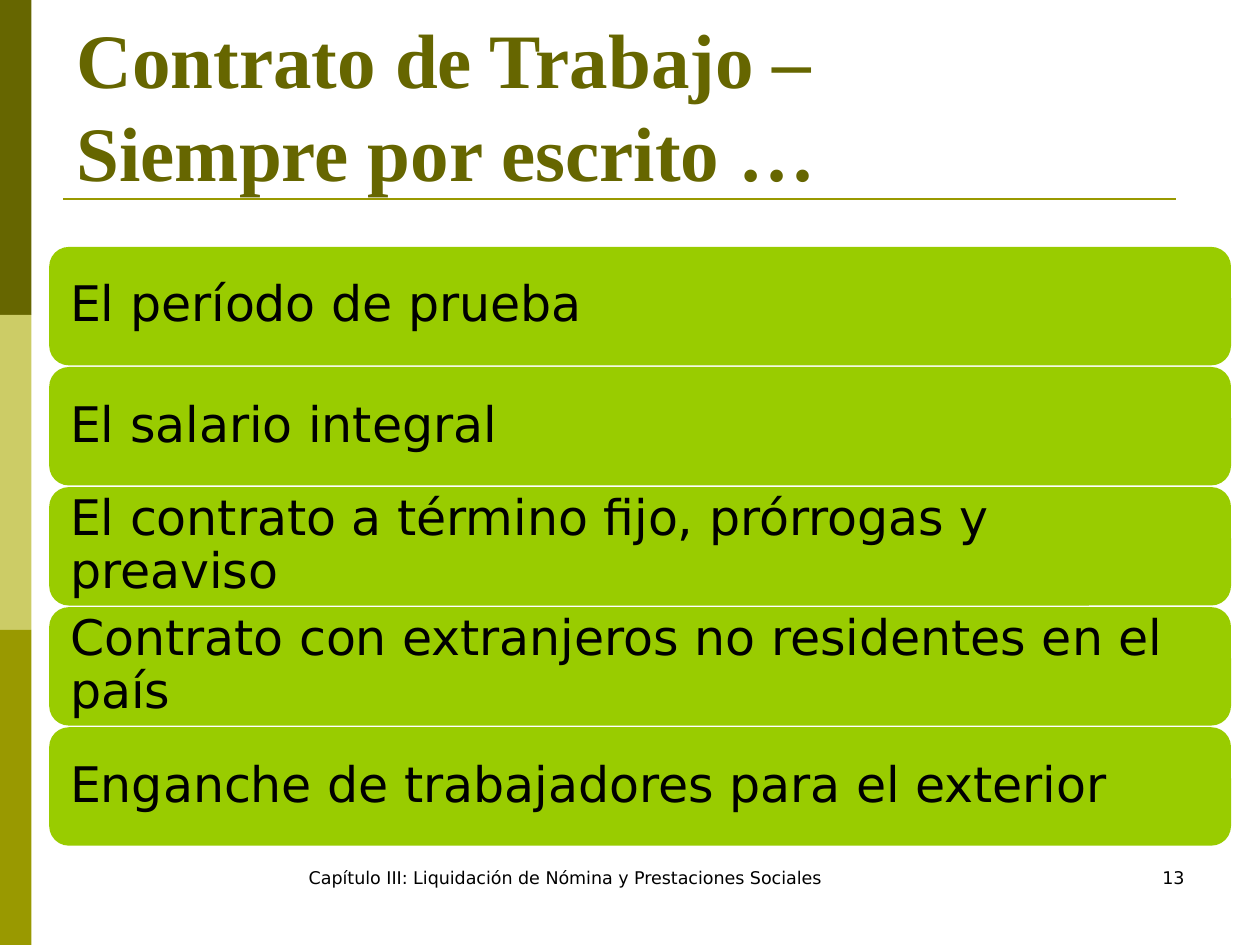
from pptx import Presentation
from pptx.dml.color import RGBColor
from pptx.enum.shapes import MSO_CONNECTOR as CONNECTOR, MSO_SHAPE as SHAPE
from pptx.enum.text import MSO_ANCHOR as ANCHOR, PP_ALIGN as ALIGN
from pptx.oxml.ns import qn
from pptx.util import Inches, Pt
from lxml import etree


def rgb(value):
    return RGBColor.from_string(value)


def write(frame, text, size=10, font="DejaVu Sans", color="000000", bold=False,
          align=ALIGN.LEFT, anchor=ANCHOR.TOP, spacing=None, inset=None):
    frame.word_wrap = True
    frame.vertical_anchor = anchor
    if inset is not None:
        frame.margin_left = frame.margin_right = Inches(inset)
        frame.margin_top = frame.margin_bottom = Inches(inset)
    paragraph = frame.paragraphs[0]
    paragraph.alignment = align
    if spacing:
        paragraph.line_spacing = spacing
    for index, line in enumerate(text.splitlines()):
        if index:
            paragraph.add_line_break()
        run = paragraph.add_run()
        run.text = line
        run.font.size = Pt(size)
        run.font.name = font
        run.font.bold = bold
        run.font.color.rgb = rgb(color)


class Board:
    olive, dark, pale, lime = "999900", "666600", "CCCC66", "99CC00"

    def __init__(self, slide):
        self.slide = slide

    def block(self, left, top, width, height, fill, kind=SHAPE.RECTANGLE):
        block = self.slide.shapes.add_shape(
            kind, Inches(left), Inches(top), Inches(width), Inches(height))
        block.shadow.inherit = False
        block.fill.solid()
        block.fill.fore_color.rgb = rgb(fill)
        block.line.fill.background()
        return block

    def rule(self, left, right, y):
        rule = self.slide.shapes.add_connector(
            CONNECTOR.STRAIGHT, Inches(left), Inches(y), Inches(right), Inches(y))
        rule.line.color.rgb = rgb(self.olive)
        rule.line.width = Pt(1.5)
        etree.SubElement(rule._element.spPr, qn("a:effectLst"))

    def label(self, left, top, width, height, text, **style):
        label = self.slide.shapes.add_textbox(
            Inches(left), Inches(top), Inches(width), Inches(height))
        write(label.text_frame, text, **style)

    def topic(self, top, text):
        bar = self.block(0.39, top, 9.38, 0.94, self.lime, SHAPE.ROUNDED_RECTANGLE)
        write(bar.text_frame, text, size=28, anchor=ANCHOR.MIDDLE,
              spacing=0.9, inset=0.12)


def main():
    deck = Presentation()
    deck.slide_width, deck.slide_height = Inches(10), Inches(7.5)
    board = Board(deck.slides.add_slide(deck.slide_layouts[6]))

    for index, fill in enumerate((board.dark, board.pale, board.olive)):
        board.block(0, index * 2.5, 0.25, 2.5, fill)
    board.rule(0.5, 9.33, 1.58)
    board.label(0.51, 0.36, 9, 1.25, """Contrato de Trabajo – 
Siempre por escrito …""", size=44, font="Times New Roman",
                color=board.dark, bold=True, anchor=ANCHOR.BOTTOM)

    topics = (
        "El período de prueba",
        "El salario integral",
        "El contrato a término fijo, prórrogas y preaviso",
        "Contrato con extranjeros no residentes en el país",
        "Enganche de trabajadores para el exterior",
    )
    for index, topic in enumerate(topics):
        board.topic(1.96 + index * 0.953, topic)

    board.label(1.87, 6.83, 5.23, 0.5,
                "Capítulo III: Liquidación de Nómina y Prestaciones Sociales",
                align=ALIGN.CENTER)
    board.label(7.17, 6.83, 2.33, 0.5, "13", align=ALIGN.RIGHT)
    deck.save("out.pptx")


if __name__ == "__main__":
    main()
